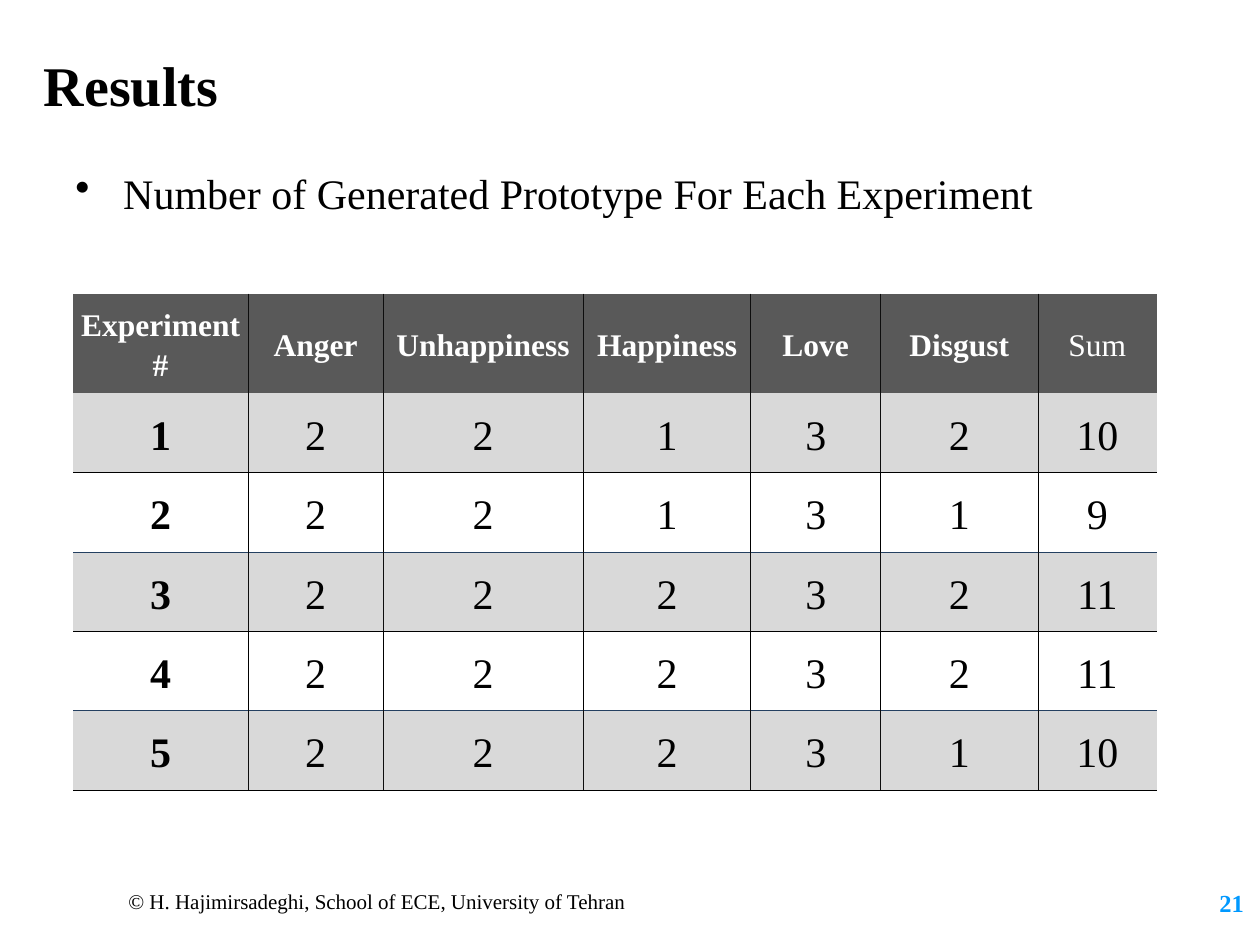
from lxml.etree import SubElement
from pptx import Presentation
from pptx.dml.color import RGBColor
from pptx.enum.text import MSO_ANCHOR, PP_ALIGN
from pptx.oxml.ns import qn
from pptx.util import Inches, Pt

HEAD = ["Experiment#", "Anger", "Unhappiness", "Happiness", "Love", "Disgust", "Sum"]
DATA = [
    [1, 2, 2, 1, 3, 2, 10],
    [2, 2, 2, 1, 3, 1, 9],
    [3, 2, 2, 2, 3, 2, 11],
    [4, 2, 2, 2, 3, 2, 11],
    [5, 2, 2, 2, 3, 1, 10],
]
WIDTHS = [1.39, 1.07, 1.59, 1.33, 1.03, 1.25, 0.94]
HEIGHTS = [0.78] + [0.63] * len(DATA)
BLACK, INK, NAVY = "000000", "0D0D0D", "244061"
WHITE, DARK, PALE, BLUE = "FFFFFF", "595959", "D9D9D9", "0099FF"


def color(code):
    return RGBColor.from_string(code)


class Deck:
    font = "Times New Roman"
    line = Pt(0.45)

    def __init__(self, slide):
        self.slide = slide

    def run(self, para, text, size, tint=BLACK, bold=False):
        run = para.add_run()
        run.text = text
        font = run.font
        font.name, font.size, font.bold = self.font, Pt(size), bold
        font.color.rgb = color(tint)

    def text(self, area, text, size, tint=BLACK, bold=False, bullet=False):
        box = self.slide.shapes.add_textbox(*map(Inches, area))
        frame = box.text_frame
        frame.word_wrap = True
        para = frame.paragraphs[0]
        if bullet:
            self.bullet(para)
        self.run(para, text, size, tint, bold)

    def bullet(self, para):
        props = para._p.get_or_add_pPr()
        props.set("marL", str(Inches(0.38)))
        props.set("indent", str(-Inches(0.38)))
        SubElement(props, qn("a:buChar"), char="•")

    def edges(self, cell, left, right, top, bottom):
        props = cell._tc.get_or_add_tcPr()
        for side, tint in zip("LRTB", (left, right, top, bottom)):
            edge = SubElement(props, qn(f"a:ln{side}"), w=str(self.line))
            if tint:
                fill = SubElement(edge, qn("a:solidFill"))
                SubElement(fill, qn("a:srgbClr"), val=tint)
            else:
                SubElement(edge, qn("a:noFill"))

    def cell(self, cell, text, size, tint, bold, fill):
        cell.margin_left = cell.margin_right = Inches(0.01)
        cell.margin_top = cell.margin_bottom = Inches(0.05)
        cell.vertical_anchor = MSO_ANCHOR.MIDDLE
        if fill:
            cell.fill.solid()
            cell.fill.fore_color.rgb = color(fill)
        else:
            cell.fill.background()
        para = cell.text_frame.paragraphs[0]
        para.alignment = PP_ALIGN.CENTER
        para.line_spacing = 1.15
        self.run(para, text, size, tint, bold)

    def table(self, left, top, rows):
        area = (left, top, sum(WIDTHS), sum(HEIGHTS))
        shape = self.slide.shapes.add_table(len(rows), len(WIDTHS), *map(Inches, area))
        table = shape.table
        table.first_row = table.horz_banding = False
        for col, width in zip(table.columns, WIDTHS):
            col.width = Inches(width)
        for row, height in zip(table.rows, HEIGHTS):
            row.height = Inches(height)
        last = len(WIDTHS) - 1
        # Line below each row: none under the header, then black and navy in turn
        rules = [None] + [BLACK if i % 2 else NAVY for i in range(1, len(rows))]
        for i, row in enumerate(rows):
            head, band = i == 0, i % 2 == 1
            fill = DARK if head else PALE if band else None
            wall = INK if fill else BLACK
            for j, value in enumerate(row):
                cell = table.cell(i, j)
                self.edges(cell, wall if j else None, wall if j < last else None,
                           rules[i - 1] if i else None, rules[i])
                bold = j < last if head else j == 0
                self.cell(cell, str(value), 18 if head else 24,
                          WHITE if head else BLACK, bold, fill)


def main():
    show = Presentation()
    show.slide_width, show.slide_height = Inches(10), Inches(7.5)
    deck = Deck(show.slides.add_slide(show.slide_layouts[6]))

    # Footer
    deck.text((0.92, 7, 8.58, 0.3),
              "© H. Hajimirsadeghi, School of ECE, University of Tehran", 12)

    # Results table
    deck.table(0.58, 2.33, [HEAD] + DATA)

    # Title and lead line
    deck.text((0.25, 0.35, 8.5, 0.58), "Results", 32, bold=True)
    deck.text((0.5, 1.28, 9, 1.14),
              "Number of Generated Prototype For Each Experiment", 24, bullet=True)

    # Page number
    deck.text((9.58, 7, 0.42, 0.33), "21", 14, BLUE, bold=True)

    show.save("out.pptx")


if __name__ == "__main__":
    main()
